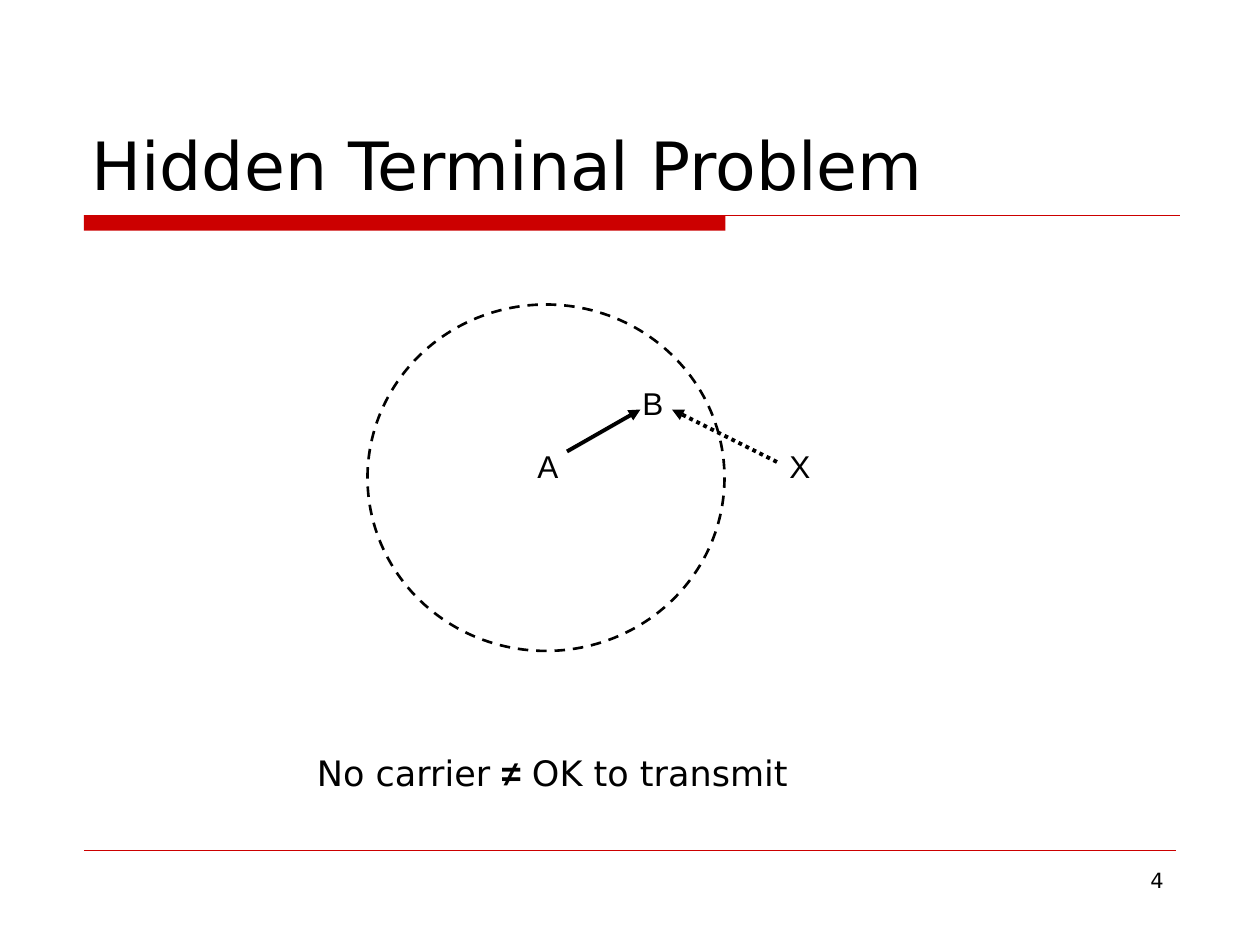
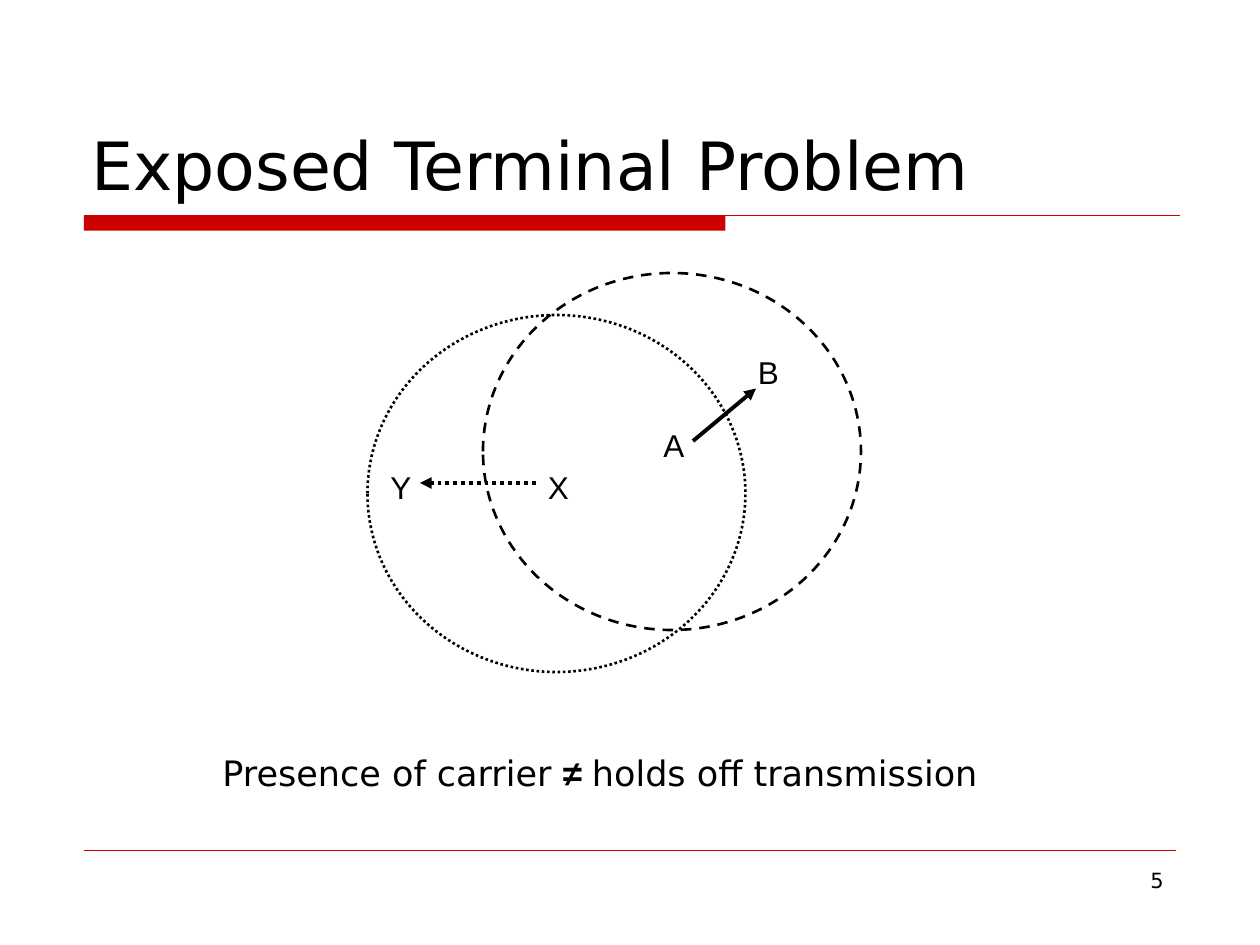
from lxml.etree import SubElement
from pptx import Presentation
from pptx.dml.color import RGBColor
from pptx.enum.dml import MSO_LINE
from pptx.enum.shapes import MSO_CONNECTOR, MSO_SHAPE
from pptx.enum.text import MSO_ANCHOR, PP_ALIGN
from pptx.oxml.ns import qn
from pptx.util import Pt

BLACK = RGBColor(0x00, 0x00, 0x00)
RED = RGBColor(0xCC, 0x00, 0x00)
BODY_FONT = "DejaVu Sans"
LABEL_FONT = "Arial"
DASHED = MSO_LINE.DASH
DOTTED = MSO_LINE.ROUND_DOT


def add_text(paragraph, text, font=BODY_FONT, size=20, bold=False, color=BLACK):
    run = paragraph.add_run()
    run.text = text
    run.font.name = font
    run.font.size = Pt(size)
    run.font.bold = bold
    run.font.color.rgb = color


class Deck:
    """Holds the shared style and the slide being drawn."""

    def __init__(self):
        self.presentation = Presentation()
        self.presentation.slide_width = Pt(720)
        self.presentation.slide_height = Pt(540)
        self.slide = None

    def new_slide(self, title, number):
        layout = self.presentation.slide_layouts[6]
        self.slide = self.presentation.slides.add_slide(layout)

        # Band under the title
        band = self.slide.shapes.add_shape(
            MSO_SHAPE.RECTANGLE, Pt(48), Pt(123), Pt(366.5), Pt(8.75))
        band.shadow.inherit = False
        band.fill.solid()
        band.fill.fore_color.rgb = RED
        band.line.fill.background()
        self.line((48, 123), (674.5, 123), color=RED, width=0.75)

        # Footer rule and page number
        self.line((48, 486), (672, 486), color=RED, width=0.25)
        paragraph = self.text_box(516, 492, 156, 37.5)
        paragraph.alignment = PP_ALIGN.RIGHT
        add_text(paragraph, number, size=12)

        # Title
        paragraph = self.text_box(45, 24, 630, 96, anchor=MSO_ANCHOR.BOTTOM)
        add_text(paragraph, title, size=38)

    def text_box(self, left, top, width, height, anchor=MSO_ANCHOR.TOP):
        shape = self.slide.shapes.add_textbox(Pt(left), Pt(top), Pt(width), Pt(height))
        frame = shape.text_frame
        frame.word_wrap = True
        frame.vertical_anchor = anchor
        return frame.paragraphs[0]

    def line(self, start, end, color=BLACK, width=2.25, dash=None, arrow=False):
        connector = self.slide.shapes.add_connector(
            MSO_CONNECTOR.STRAIGHT, *(Pt(value) for value in (*start, *end)))
        connector.line.color.rgb = color
        connector.line.width = Pt(width)
        if dash:
            connector.line.dash_style = dash
        if arrow:
            SubElement(connector.line._get_or_add_ln(), qn("a:tailEnd"), type="triangle")
        SubElement(connector._element.spPr, qn("a:effectLst"))

    def radio_range(self, left, top, width, height, dash=DASHED):
        shape = self.slide.shapes.add_shape(
            MSO_SHAPE.OVAL, Pt(left), Pt(top), Pt(width), Pt(height))
        shape.shadow.inherit = False
        shape.fill.background()
        shape.line.color.rgb = BLACK
        shape.line.width = Pt(1.5)
        shape.line.dash_style = dash

    def station(self, name, left, top):
        add_text(self.text_box(left, top, 30, 29), name, font=LABEL_FONT, size=18)

    def transmission(self, start, end, dash=None):
        self.line(start, end, dash=dash, arrow=True)

    def caption(self, before, sign, after, left, width):
        paragraph = self.text_box(left, 426, width, 32)
        add_text(paragraph, before)
        add_text(paragraph, sign, font=LABEL_FONT, bold=True)
        add_text(paragraph, after)


def main():
    deck = Deck()

    # Hidden terminal: X is outside the range of A
    deck.new_slide("Hidden Terminal Problem", "4")
    deck.radio_range(210, 174, 204, 198)
    for name, left, top in (("A", 300, 252), ("B", 360, 216), ("X", 444, 252)):
        deck.station(name, left, top)
    deck.transmission((324, 258), (366, 234))
    deck.transmission((444, 264), (384, 234), dash=DOTTED)
    deck.caption("No carrier ", "≠", " OK to transmit", left=174, width=330)

    # Exposed terminal: A and X hear each other
    deck.new_slide("Exposed Terminal Problem", "5")
    deck.radio_range(276, 156, 216, 204)
    deck.radio_range(210, 180, 216, 204, dash=DOTTED)
    for name, left, top in (("A", 372, 240), ("B", 426, 198),
                            ("X", 306, 264), ("Y", 216, 264)):
        deck.station(name, left, top)
    deck.transmission((396, 252), (432, 222))
    deck.transmission((306, 276), (240, 276), dash=DOTTED)
    deck.caption("Presence of carrier ", "≠ ", "holds off transmission",
                 left=120, width=462)

    deck.presentation.save("out.pptx")


if __name__ == "__main__":
    main()
